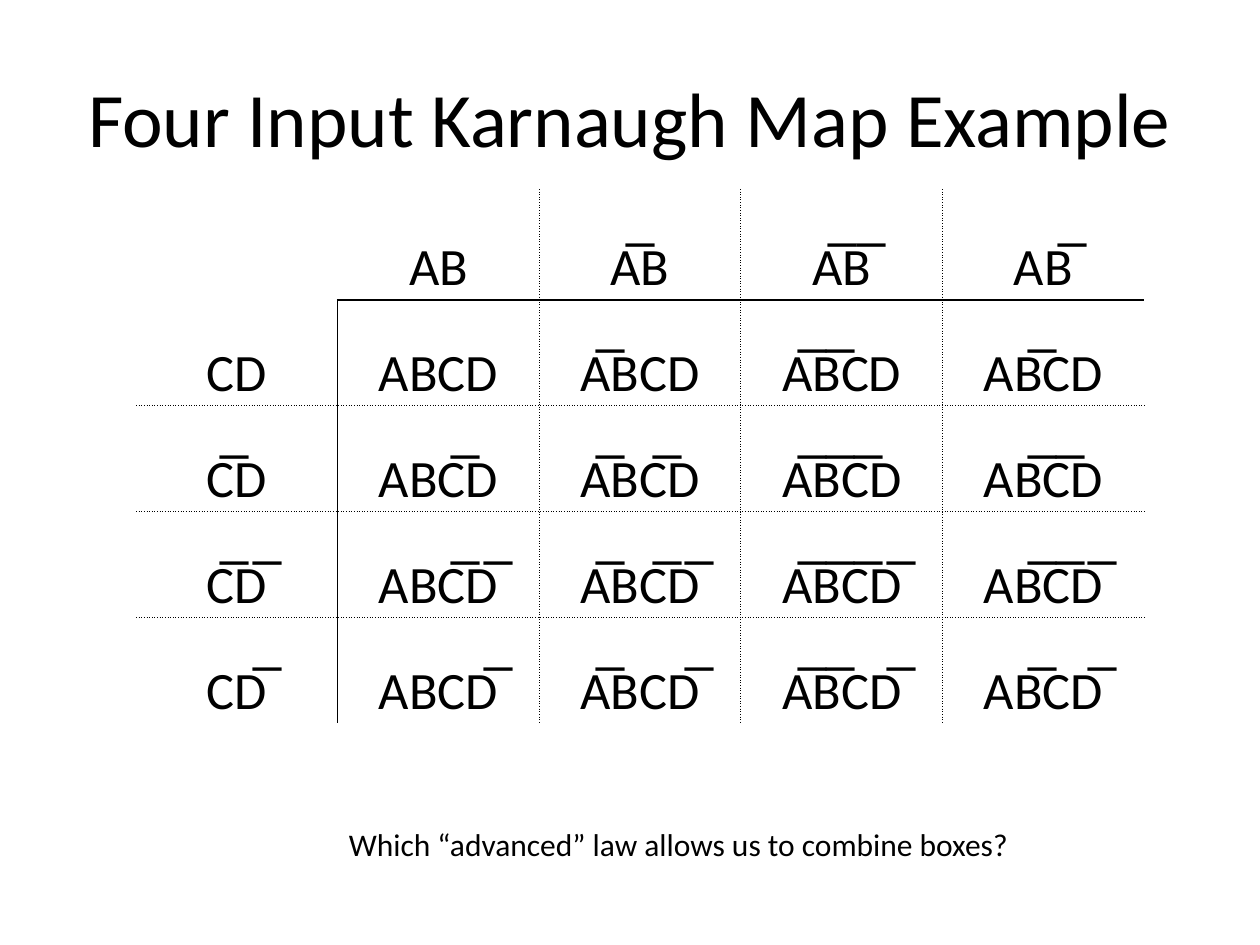
import pptx
import pptx.dml.color
import pptx.enum.text
import pptx.oxml
import pptx.oxml.ns
import pptx.util
from pptx.util import Inches, Pt

BLACK = "000000"
SOLID, DOTTED = (1, "solid"), (0.5, "sysDot")
ALIGN = pptx.enum.text.PP_ALIGN
ANCHOR = pptx.enum.text.MSO_ANCHOR


def write(frame, words, size, align):
    frame.text = words
    paragraph = frame.paragraphs[0]
    paragraph.alignment = align
    for run in paragraph.runs:
        run.font.name = "Calibri"
        run.font.size = Pt(size)
        run.font.color.rgb = pptx.dml.color.RGBColor.from_string(BLACK)


def set_borders(cell, edges):
    """Draw the edges, given as (width, dash) or None in the order L, R, T, B."""
    properties = cell._tc.get_or_add_tcPr()
    for index, (side, edge) in enumerate(zip("LRTB", edges)):
        width, dash = edge or (0, "solid")
        paint = f'<a:solidFill><a:srgbClr val="{BLACK}"/></a:solidFill>' if edge else "<a:noFill/>"
        properties.insert(index, pptx.oxml.parse_xml(
            f'<a:ln{side} {pptx.oxml.ns.nsdecls("a")} w="{int(Pt(width))}">'
            f'{paint}<a:prstDash val="{dash}"/></a:ln{side}>'))


deck = pptx.Presentation()
deck.slide_width, deck.slide_height = Inches(10), Inches(7.5)
slide = deck.slides.add_slide(deck.slide_layouts[6])

title = slide.shapes.add_textbox(Inches(0.5), Inches(0.3), Inches(9), Inches(1.25)).text_frame
title.word_wrap = True
title.vertical_anchor = ANCHOR.MIDDLE
write(title, "Four Input Karnaugh Map Example", 44, ALIGN.CENTER)

# Each cell of the map joins its column heading with its row heading.
column_terms = ["", "AB", "A̅B", "A̅B̅", "AB̅"]
row_terms = ["", "CD", "C̅D", "C̅D̅", "CD̅"]
last = len(row_terms) - 1
karnaugh_map = slide.shapes.add_table(
    len(row_terms), len(column_terms), Inches(1.08), Inches(1.5), Inches(8), Inches(4.24)).table
karnaugh_map.first_row = karnaugh_map.horz_banding = False
for column in karnaugh_map.columns:
    column.width = Inches(1.6)
for r, row in enumerate(karnaugh_map.rows):
    row.height = Inches(0.84 if r else 0.88)

# The line after a heading row or column is solid; the corner cell has none.
for r, row_term in enumerate(row_terms):
    rules_across = [None] + [DOTTED if r else SOLID] * last + [None]
    for c, column_term in enumerate(column_terms):
        cell = karnaugh_map.cell(r, c)
        cell.fill.background()
        cell.vertical_anchor = ANCHOR.BOTTOM
        cell.margin_left = cell.margin_right = cell.margin_top = Inches(0.01)
        cell.margin_bottom = 0
        write(cell.text_frame, column_term + row_term, 30, ALIGN.CENTER)
        upright = [None, SOLID if r else None] + [DOTTED] * (last - 1) + [None]
        level = [None, SOLID if c else None] + [DOTTED] * (last - 1) + [None]
        set_borders(cell, (upright[c], upright[c + 1], level[r], level[r + 1]))

question = slide.shapes.add_textbox(Inches(2.67), Inches(6.5), Inches(5.61), Inches(0.4)).text_frame
question.word_wrap = False
question.auto_size = pptx.enum.text.MSO_AUTO_SIZE.SHAPE_TO_FIT_TEXT
write(question, "Which “advanced” law allows us to combine boxes?", 18, ALIGN.LEFT)

deck.save("out.pptx")
